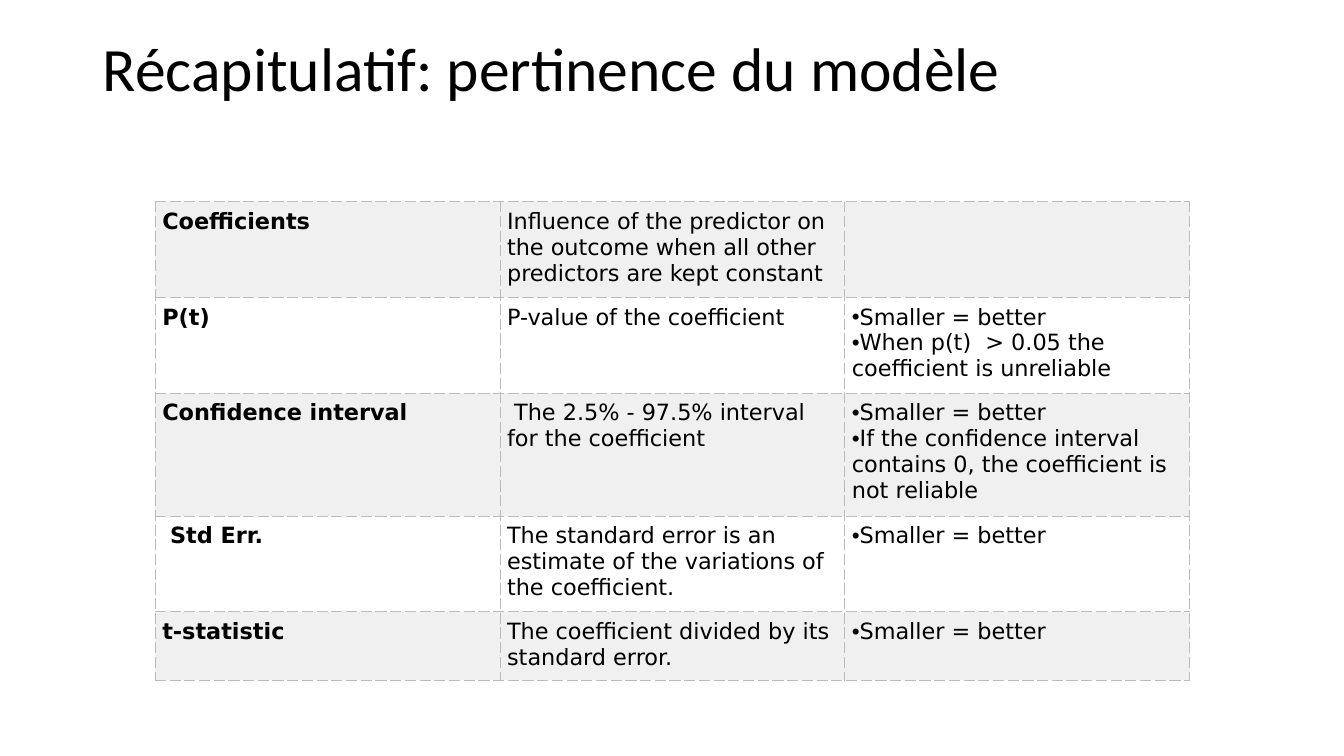
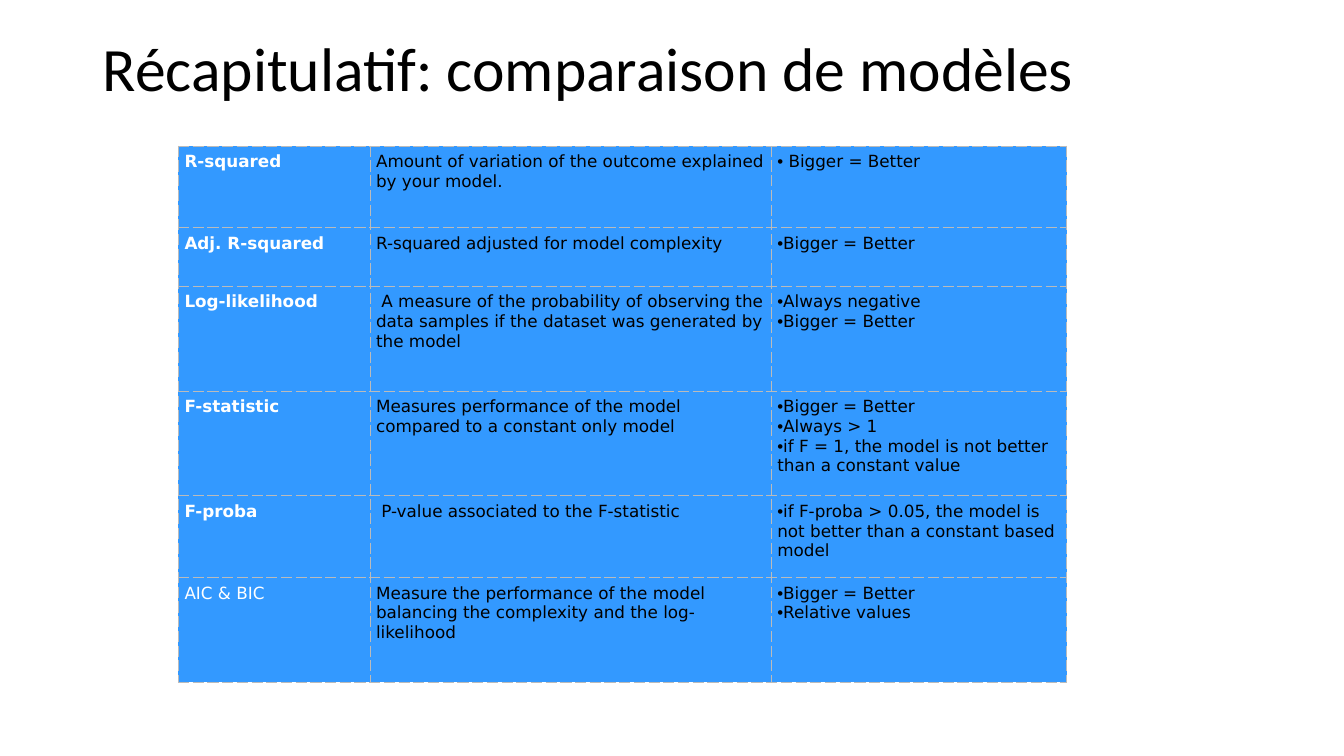
from lxml import etree
from pptx import Presentation
from pptx.dml.color import RGBColor
from pptx.enum.text import MSO_ANCHOR, MSO_AUTO_SIZE, PP_ALIGN
from pptx.oxml import parse_xml
from pptx.oxml.ns import qn
from pptx.util import Emu, Pt

TOP = MSO_ANCHOR.TOP
NO_AUTOFIT = MSO_AUTO_SIZE.NONE
LEFT = PP_ALIGN.LEFT
TITLE_ONLY = 5
DRAWING = "http://schemas.openxmlformats.org/drawingml/2006/main"

BLACK = "000000"
WHITE = "FFFFFF"
GREY = "F0F0F0"
BLUE = "3399FF"
BORDER = "BBBBBB"


def px(length):
    return Emu(length * 9144)


def colour(value):
    return RGBColor.from_string(value)


class Deck:
    title_font = "Calibri"
    table_font = "DejaVu Sans"

    def __init__(self):
        self.deck = Presentation()
        self.deck.slide_width = px(1333)
        self.deck.slide_height = px(750)
        self.page = None

    def add_page(self, title):
        layout = self.deck.slide_layouts[TITLE_ONLY]
        self.page = self.deck.slides.add_slide(layout)
        box = self.page.shapes.title
        box.left, box.top, box.width, box.height = map(px, (92, 33, 1150, 99))
        frame = box.text_frame
        frame.word_wrap = True
        frame.auto_size = NO_AUTOFIT
        frame.vertical_anchor = TOP
        para = frame.paragraphs[0]
        para.alignment = LEFT
        para.line_spacing = 0.9
        self.add_span(para, title, self.title_font, 44, BLACK)

    def add_span(self, para, text, font, size, ink, bold=False):
        span = para.add_run()
        span.text = text
        span.font.name = font
        span.font.size = Pt(size)
        span.font.bold = bold
        span.font.color.rgb = colour(ink)

    def add_bullet(self, para):
        properties = para._p.get_or_add_pPr()
        properties.set("marL", "0")
        properties.set("indent", "0")
        etree.SubElement(properties, qn("a:buFont"), typeface="Arial")
        etree.SubElement(properties, qn("a:buChar"), char="•")

    def add_borders(self, cell):
        properties = cell._tc.get_or_add_tcPr()
        for index, side in enumerate("LRTB"):
            properties.insert(index, parse_xml(
                f'<a:ln{side} xmlns:a="{DRAWING}" w="{Pt(0.75)}">'
                f'<a:solidFill><a:srgbClr val="{BORDER}"/></a:solidFill>'
                f'<a:prstDash val="dash"/></a:ln{side}>'))

    def fill_cell(self, cell, lines, fill, margin, size, ink, bold, bulleted):
        cell.margin_left = cell.margin_right = px(margin)
        cell.margin_top = cell.margin_bottom = px(margin)
        cell.vertical_anchor = TOP
        cell.fill.solid()
        cell.fill.fore_color.rgb = colour(fill)
        self.add_borders(cell)
        frame = cell.text_frame
        for index, line in enumerate(lines):
            para = frame.add_paragraph() if index else frame.paragraphs[0]
            para.alignment = LEFT
            if bulleted:
                self.add_bullet(para)
            self.add_span(para, line, self.table_font, size, ink, bold)

    def add_table(self, left, top, widths, heights, rows, fills, size, margin,
                  term_ink, plain_terms=()):
        frame = self.page.shapes.add_table(
            len(rows), len(widths), px(left), px(top),
            px(sum(widths)), px(sum(heights)))
        table = frame.table
        table.first_row = False
        table.horz_banding = False
        for column, width in zip(table.columns, widths):
            column.width = px(width)
        for index, (term, meaning, advice) in enumerate(rows):
            table.rows[index].height = px(heights[index])
            fill = fills[index % len(fills)]
            cells = (
                ([term], term_ink, term not in plain_terms, False),
                ([meaning], BLACK, False, False),
                (advice, BLACK, False, True),
            )
            for column, (lines, ink, bold, bulleted) in enumerate(cells):
                self.fill_cell(table.cell(index, column), lines, fill, margin,
                               size, ink, bold, bulleted)

    def save(self):
        self.deck.save("out.pptx")


RELEVANCE = [
    ("Coefficients",
     "Influence of the predictor on the outcome when all other "
     "predictors are kept constant",
     []),
    ("P(t)",
     "P-value of the coefficient",
     ["Smaller = better",
      "When p(t)  > 0.05 the coefficient is unreliable"]),
    ("Confidence interval",
     " The 2.5% - 97.5% interval for the coefficient",
     ["Smaller = better",
      "If the confidence interval contains 0, the coefficient is "
      "not reliable"]),
    (" Std Err.",
     "The standard error is an estimate of the variations of "
     "the coefficient.",
     ["Smaller = better"]),
    ("t-statistic",
     "The coefficient divided by its standard error.",
     ["Smaller = better"]),
]

COMPARISON = [
    ("R-squared",
     "Amount of variation of the outcome explained by your model.",
     [" Bigger = Better"]),
    ("Adj. R-squared",
     "R-squared adjusted for model complexity",
     ["Bigger = Better"]),
    ("Log-likelihood",
     " A measure of the probability of observing the data samples "
     "if the dataset was generated by the model",
     ["Always negative", "Bigger = Better"]),
    ("F-statistic",
     "Measures performance of the model compared to a constant only model",
     ["Bigger = Better", "Always > 1",
      "if F = 1, the model is not better than a constant value"]),
    ("F-proba",
     " P-value associated to the F-statistic",
     ["if F-proba > 0.05, the model is not better than a constant "
      "based model"]),
    ("AIC & BIC",
     "Measure the performance of the model balancing the complexity "
     "and the log-likelihood",
     ["Bigger = Better", "Relative values"]),
]


def main():
    deck = Deck()
    deck.add_page("Récapitulatif: pertinence du modèle")
    deck.add_table(154, 200, [342] * 3, [95, 95, 122, 95, 68], RELEVANCE,
                   [GREY, WHITE], size=16, margin=7, term_ink=BLACK)
    deck.add_page("Récapitulatif: comparaison de modèles")
    deck.add_table(177, 145, [190, 398, 293], [81, 58, 104, 104, 81, 104],
                   COMPARISON, [BLUE], size=12, margin=6, term_ink=WHITE,
                   plain_terms=["AIC & BIC"])
    deck.save()


if __name__ == "__main__":
    main()
